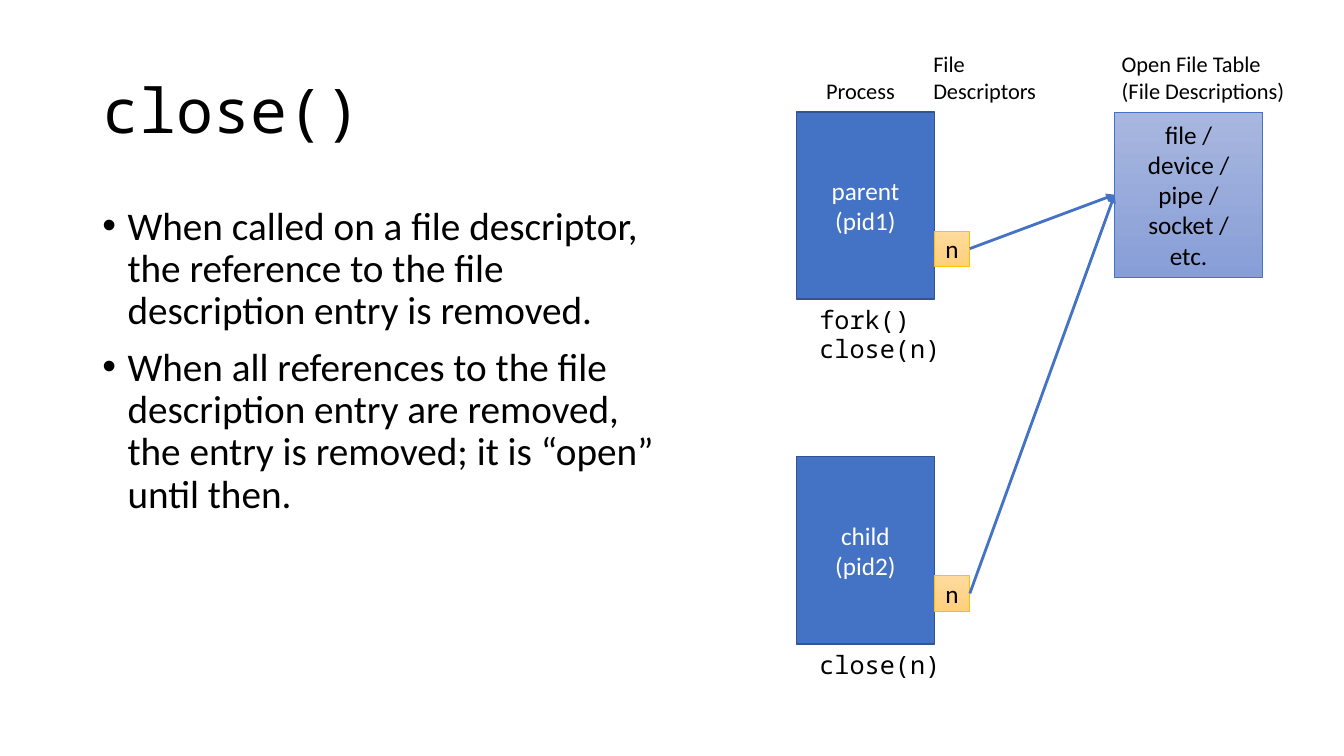
from dataclasses import dataclass

from lxml.etree import SubElement
from pptx import Presentation
from pptx.dml.color import RGBColor
from pptx.enum.shapes import MSO_CONNECTOR as Connector, MSO_SHAPE as Shape
from pptx.enum.text import MSO_ANCHOR as Anchor, PP_ALIGN as Align
from pptx.oxml.ns import qn
from pptx.util import Cm, Pt

TITLE = "close()"
BULLETS = [
    "When called on a file descriptor, the reference to the file description entry is removed.",
    "When all references to the file description entry are removed, the entry is removed; "
    "it is “open” until then.",
]
# Lines in the box, calls below it, top of the box
PROCESSES = [
    (["parent", "(pid1)"], ["fork()", "close(n)"], 2.82),
    (["child", "(pid2)"], ["close(n)"], 11.51),
]
DESCRIPTOR = ["n"]
FILE_ENTRY = ["file /", "device /", "pipe /", "socket /", "etc."]
# Lines, left, width, wrap
HEADINGS = [
    (["Process"], 20.57, 2.26, False),
    (["File", "Descriptors"], 23.27, 3.15, False),
    (["Open File Table", "(File Descriptions)"], 28.02, 5.54, True),
]

# Lengths in centimetres
PROCESS_LEFT, PROCESS_WIDTH, PROCESS_HEIGHT = 20.07, 3.48, 4.72
DESCRIPTOR_SIZE, DESCRIPTOR_DROP = 0.89, 3.0
FILE_BOX = (28.09, 2.82, 3.73, 4.17)
CALL_INDENT, CALL_WIDTH, CALL_HEIGHT, CALL_STEP = 0.33, 3.58, 1.02, 0.74
HEADING_BOTTOM, HEADING_PADDING, HEADING_LINE = 2.75, 0.25, 0.68


@dataclass(frozen=True)
class Theme:
    sans: str = "Calibri"
    mono: str = "Noto Sans Mono"
    title: int = 44
    body: int = 28
    label: int = 18
    heading: int = 16
    black: str = "000000"
    white: str = "FFFFFF"
    blue: str = "4472C4"
    dark_blue: str = "325491"
    gold: str = "FFC000"
    gold_fade: tuple = ("FFDB9E", "FFD07C")
    blue_fade: tuple = ("A8B7DF", "889ED7")


THEME = Theme()


def color(value):
    return RGBColor.from_string(value)


def write(shape, lines, *, size=THEME.label, font=THEME.sans, ink=THEME.black,
          align=Align.LEFT, anchor=Anchor.TOP, wrap=True, spacing=None, bullet=False):
    """Fill a shape with one formatted paragraph per line."""
    frame = shape.text_frame
    frame.word_wrap = wrap
    frame.vertical_anchor = anchor
    frame.text = "\n".join(lines)
    for paragraph in frame.paragraphs:
        paragraph.alignment = align
        if spacing:
            paragraph.line_spacing = spacing
        for run in paragraph.runs:
            run.font.name = font
            run.font.size = Pt(size)
            run.font.color.rgb = color(ink)
        if bullet:
            paragraph.space_before = Pt(10)
            properties = paragraph._p.get_or_add_pPr()
            properties.set("marL", str(Pt(18)))
            properties.set("indent", str(-Pt(18)))
            SubElement(properties, qn("a:buFont"), typeface="Arial")
            SubElement(properties, qn("a:buChar"), char="•")


def add_text(slide, box, lines, **text_format):
    shape = slide.shapes.add_textbox(*map(Cm, box))
    write(shape, lines, **text_format)


def add_box(slide, box, lines, *, fill, line, line_width, ink=THEME.black):
    """Draw a rectangle; a pair of colours as fill gives a downward gradient."""
    shape = slide.shapes.add_shape(Shape.RECTANGLE, *map(Cm, box))
    shape.shadow.inherit = False
    if isinstance(fill, tuple):
        shape.fill.gradient()
        shape.fill.gradient_angle = 270
        for stop, value in zip(shape.fill.gradient_stops, fill):
            stop.color.rgb = color(value)
    else:
        shape.fill.solid()
        shape.fill.fore_color.rgb = color(fill)
    shape.line.color.rgb = color(line)
    shape.line.width = Pt(line_width)
    write(shape, lines, ink=ink, align=Align.CENTER, anchor=Anchor.MIDDLE)
    return shape


def add_arrow(slide, source, target):
    """Join the right side of source to the left side of target."""
    arrow = slide.shapes.add_connector(Connector.STRAIGHT, 0, 0, 0, 0)
    arrow.begin_connect(source, 3)
    arrow.end_connect(target, 1)
    arrow.line.color.rgb = color(THEME.blue)
    arrow.line.width = Pt(2)
    SubElement(arrow.line._get_or_add_ln(), qn("a:tailEnd"), type="triangle")
    SubElement(arrow._element.spPr, qn("a:effectLst"))


def add_process(slide, names, calls, top):
    """Draw a process with its calls below and return its descriptor box."""
    add_box(slide, (PROCESS_LEFT, top, PROCESS_WIDTH, PROCESS_HEIGHT), names,
            fill=THEME.blue, line=THEME.dark_blue, line_width=1, ink=THEME.white)
    for index, call in enumerate(calls):
        call_top = top + PROCESS_HEIGHT + index * CALL_STEP
        add_text(slide, (PROCESS_LEFT + CALL_INDENT, call_top, CALL_WIDTH, CALL_HEIGHT),
                 [call], font=THEME.mono, wrap=False)
    return add_box(slide, (PROCESS_LEFT + PROCESS_WIDTH, top + DESCRIPTOR_DROP,
                           DESCRIPTOR_SIZE, DESCRIPTOR_SIZE), DESCRIPTOR,
                   fill=THEME.gold_fade, line=THEME.gold, line_width=0.5)


def main():
    presentation = Presentation()
    presentation.slide_width, presentation.slide_height = Cm(33.87), Cm(19.05)
    slide = presentation.slides.add_slide(presentation.slide_layouts[5])

    title = slide.shapes.title
    title.left, title.top, title.width, title.height = map(Cm, (2.33, 1.01, 29.21, 3.68))
    write(title, [TITLE], size=THEME.title, font=THEME.mono,
          anchor=Anchor.MIDDLE, spacing=0.9)
    add_text(slide, (2.33, 5.07, 14.4, 12.09), BULLETS,
             size=THEME.body, spacing=0.9, bullet=True)

    for lines, left, width, wrap in HEADINGS:
        height = HEADING_PADDING + HEADING_LINE * len(lines)
        add_text(slide, (left, HEADING_BOTTOM - height, width, height), lines,
                 size=THEME.heading, wrap=wrap)

    file_entry = add_box(slide, FILE_BOX, FILE_ENTRY, fill=THEME.blue_fade,
                         line=THEME.blue, line_width=0.5)
    for process in PROCESSES:
        add_arrow(slide, add_process(slide, *process), file_entry)

    presentation.save("out.pptx")


if __name__ == "__main__":
    main()
